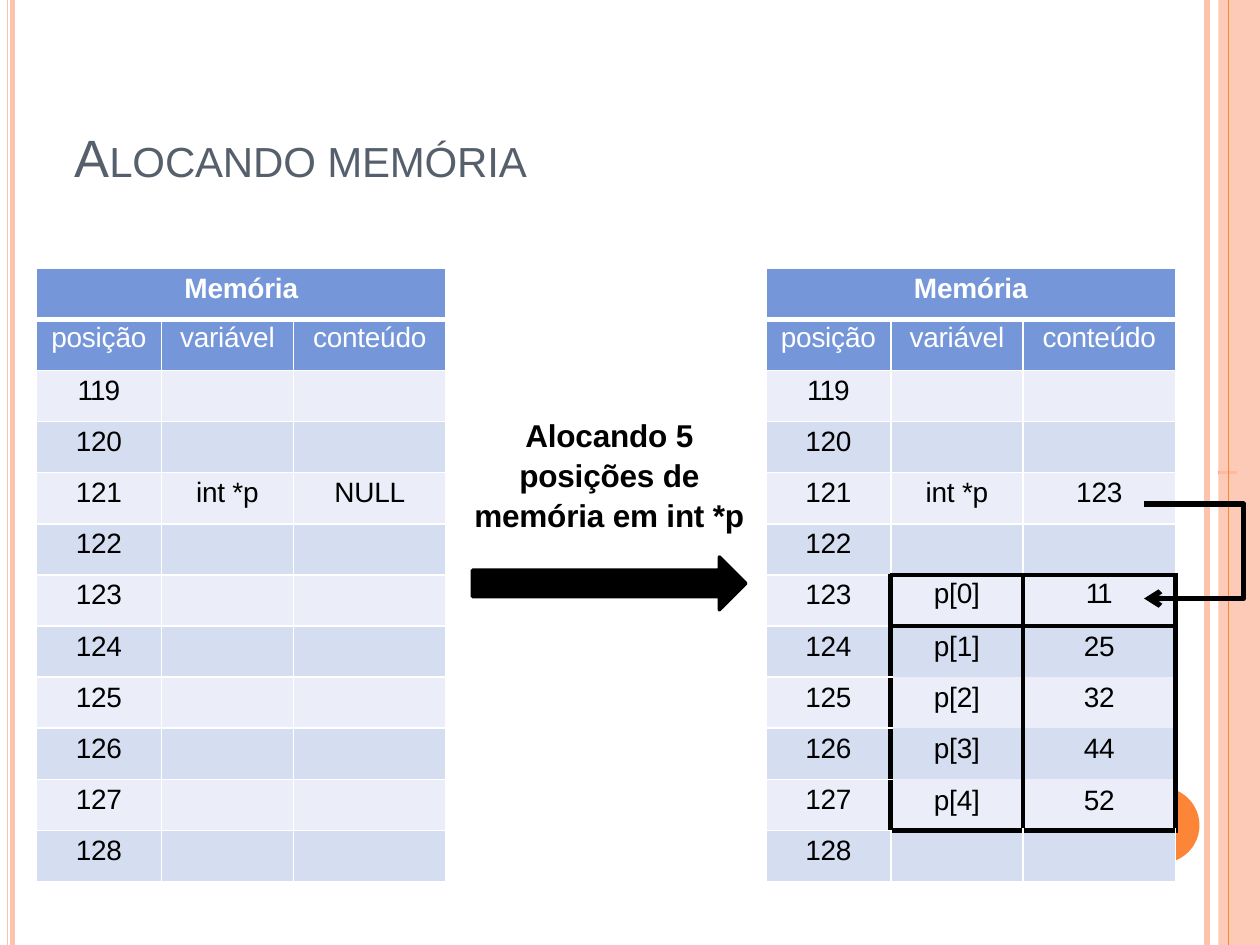
from dataclasses import dataclass

from lxml.etree import SubElement
from pptx import Presentation
from pptx.dml.color import RGBColor
from pptx.enum.shapes import MSO_CONNECTOR as Connector, MSO_SHAPE as Shape
from pptx.enum.text import MSO_ANCHOR as Anchor, MSO_AUTO_SIZE as AutoSize, PP_ALIGN as Align
from pptx.oxml.ns import qn
from pptx.util import Inches, Pt


@dataclass(frozen=True)
class Theme:
    font: str = "Arial"
    title: str = "565F6C"
    ink: str = "000000"
    white: str = "FFFFFF"
    header: str = "7597D9"
    bands: tuple = ("EBEEF8", "D5DDF0")
    peach: str = "FDC3AD"
    orange: str = "FD8537"
    title_size: int = 30
    small_caps_size: int = 24
    message_size: int = 18
    table_size: int = 16
    tight: float = -0.1
    tight_ones: float = -0.5
    tightest: float = -1.2


@dataclass(frozen=True)
class Block:
    """Table cells with a heavy outline, both ends included."""
    top: int
    bottom: int
    left: int
    right: int

    def holds(self, row, col):
        return self.top <= row <= self.bottom and self.left <= col <= self.right


class MemorySlide:
    def __init__(self, deck, theme):
        self.theme = theme
        self.slide = deck.slides.add_slide(deck.slide_layouts[5])
        self.shapes = self.slide.shapes

    def style(self, run, size, color, bold=False, spacing=None):
        font = run.font
        font.name, font.size, font.bold = self.theme.font, Pt(size), bold
        font.color.rgb = RGBColor.from_string(color)
        spacing = self.theme.tight if spacing is None else spacing
        run._r.get_or_add_rPr().set("spc", str(round(spacing * 100)))

    def bare_frame(self, frame):
        frame.margin_left = frame.margin_right = frame.margin_top = frame.margin_bottom = 0
        frame.vertical_anchor = Anchor.TOP
        frame.auto_size = AutoSize.NONE

    def title(self, parts, left, top, width, height):
        title = self.shapes.title
        title.left, title.top, title.width, title.height = map(Inches, (left, top, width, height))
        self.bare_frame(title.text_frame)
        title.text_frame.word_wrap = False
        line = title.text_frame.paragraphs[0]
        line.alignment = Align.LEFT
        for words, size in parts:
            run = line.add_run()
            run.text = words
            self.style(run, size, self.theme.title)

    def message(self, words, left, top, width, height):
        frame = self.shapes.add_textbox(*map(Inches, (left, top, width, height))).text_frame
        self.bare_frame(frame)
        frame.word_wrap = True
        frame.text = words
        line = frame.paragraphs[0]
        line.alignment, line.line_spacing = Align.CENTER, 1.05
        self.style(line.runs[0], self.theme.message_size, self.theme.ink, bold=True)

    def rule(self, start, end, color, weight):
        rule = self.shapes.add_connector(Connector.STRAIGHT, *map(Inches, start + end))
        rule.line.color.rgb = RGBColor.from_string(color)
        rule.line.width = Pt(weight)
        SubElement(rule._element.spPr, qn("a:effectLst"))

    def solid(self, preset, left, top, width, height, color, outline=None, opacity=None):
        shape = self.shapes.add_shape(preset, *map(Inches, (left, top, width, height)))
        shape.shadow.inherit = False
        shape.fill.solid()
        shape.fill.fore_color.rgb = RGBColor.from_string(color)
        if opacity:
            swatch = shape._element.spPr.find(f"{qn('a:solidFill')}/{qn('a:srgbClr')}")
            SubElement(swatch, qn("a:alpha"), val=str(opacity * 1000))
        if outline:
            shape.line.color.rgb = RGBColor.from_string(color)
            shape.line.width = Pt(outline)
        else:
            shape.line.fill.background()

    def pointer(self, points, weight):
        """Draw an open bent line with an arrowhead at its last point."""
        corners = [(Inches(x), Inches(y)) for x, y in points]
        builder = self.shapes.build_freeform(*corners[0], scale=1.0)
        builder.add_line_segments(corners[1:], close=False)
        pointer = builder.convert_to_shape()
        pointer.shadow.inherit = False
        pointer.fill.background()
        pointer.line.color.rgb = RGBColor.from_string(self.theme.ink)
        pointer.line.width = Pt(weight)
        SubElement(pointer.line._get_or_add_ln(), qn("a:tailEnd"), type="arrow")

    def row_edge(self, edge, col, block):
        """Colour and width of the line above row number edge."""
        if block and block.left <= col <= block.right:
            if edge in (block.top, block.top + 1, block.bottom + 1):
                return self.theme.ink, 3
            if block.top < edge <= block.bottom:
                return None
        return self.theme.white, 3 if edge == 1 else 1

    def column_edge(self, edge, row, block):
        """Colour and width of the line left of column number edge."""
        if block and block.top <= row <= block.bottom and block.left <= edge <= block.right + 1:
            return self.theme.ink, 3
        return self.theme.white, 1

    def borders(self, cell, row, col, block):
        edges = {"L": self.column_edge(col, row, block),
                 "R": self.column_edge(col + 1, row, block),
                 "T": self.row_edge(row, col, block),
                 "B": self.row_edge(row + 1, col, block)}
        properties = cell._tc.get_or_add_tcPr()
        for side, edge in edges.items():
            line = SubElement(properties, qn(f"a:ln{side}"))
            if edge:
                color, weight = edge
                line.set("w", str(Pt(weight)))
                SubElement(SubElement(line, qn("a:solidFill")), qn("a:srgbClr"), val=color)
            else:
                line.set("w", "0")
                SubElement(line, qn("a:noFill"))

    def cell_text(self, cell, words, row, in_block, block):
        theme = self.theme
        if in_block:
            pad = 1.8 if row == block.top else 3.2
        else:
            pad = 1.7 if row == 1 else 2.8
        cell.margin_left = cell.margin_right = cell.margin_bottom = 0
        cell.margin_top = Pt(pad)
        cell.text_frame.text = words
        line = cell.text_frame.paragraphs[0]
        line.alignment, line.space_before = Align.CENTER, Pt(pad)
        spacing = {"119": theme.tight_ones, "11": theme.tightest}.get(words)
        for run in line.runs:
            self.style(run, theme.table_size, theme.white if row < 2 else theme.ink,
                       row == 0, spacing)

    def memory_table(self, left, contents, block=None):
        """contents maps a position to its variable and its value."""
        rows = [("Memória", "", ""), ("posição", "variável", "conteúdo")]
        rows += [(str(place), *contents.get(place, ("", ""))) for place in range(119, 129)]
        widths = (0.99, 1.05, 1.21)
        table = self.shapes.add_table(len(rows), len(widths), Inches(left), Inches(2.13),
                                      Inches(sum(widths)), Inches(4.87)).table
        table.first_row = table.horz_banding = False
        for column, width in zip(table.columns, widths):
            column.width = Inches(width)
        for row, texts in enumerate(rows):
            for col, words in enumerate(texts):
                cell = table.cell(row, col)
                in_block = block is not None and block.holds(row, col)
                self.borders(cell, row, col, block)
                cell.fill.solid()
                cell.fill.fore_color.rgb = RGBColor.from_string(
                    self.theme.header if row < 2 else self.theme.bands[row % 2])
                self.cell_text(cell, words, row, in_block, block)
        table.cell(0, 0).merge(table.cell(0, 2))


def main():
    theme = Theme()
    deck = Presentation()
    deck.slide_width, deck.slide_height = Inches(10), Inches(7.5)
    page = MemorySlide(deck, theme)

    for x, weight in ((9.58, 3), (0.1, 2.7), (0.06, 0.9)):
        page.rule((x, 0), (x, 7.5), theme.peach, weight)
    page.rule((9.67, 3.75), (9.82, 3.75), theme.orange, 1.5)
    page.solid(Shape.RECTANGLE, 9.67, 0, 0.33, 7.5, theme.peach, opacity=87)
    page.rule((9.75, 0), (9.75, 7.5), theme.orange, 0.75)
    page.solid(Shape.OVAL, 8.92, 6.25, 0.6, 0.6, theme.orange)

    page.title([("A", theme.title_size), ("LOCANDO MEMÓRIA", theme.small_caps_size)],
               0.59, 0.99, 3.67, 0.52)
    page.solid(Shape.RIGHT_ARROW, 3.75, 4.42, 2.17, 0.42, theme.ink, outline=2)
    page.message("Alocando 5 posições de memória em int *p", 3.74, 3.29, 2.19, 0.92)

    page.memory_table(0.29, {121: ("int *p", "NULL")})
    allocated = {123 + i: (f"p[{i}]", value) for i, value in enumerate(("11", "25", "32", "44", "52"))}
    page.memory_table(6.08, {121: ("int *p", "123"), **allocated}, Block(6, 10, 1, 2))
    page.pointer([(9.08, 4), (9.87, 4), (9.87, 4.75), (9.08, 4.75)], 3)
    deck.save("out.pptx")


if __name__ == "__main__":
    main()
